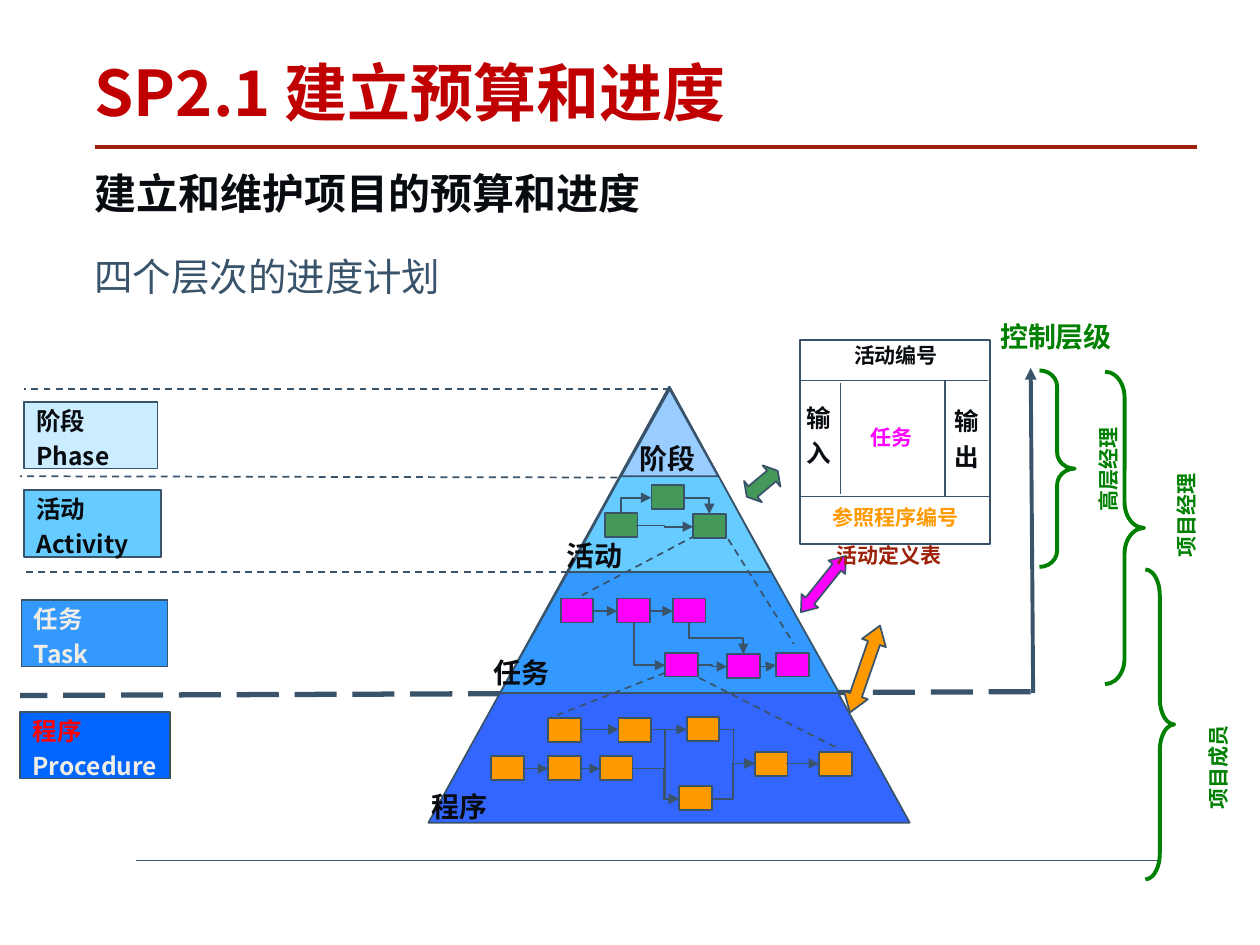
from lxml.etree import SubElement
from pptx import Presentation
from pptx.dml.color import RGBColor
from pptx.enum.dml import MSO_LINE
from pptx.enum.shapes import MSO_CONNECTOR, MSO_SHAPE
from pptx.enum.text import MSO_ANCHOR, PP_ALIGN
from pptx.oxml.ns import qn
from pptx.util import Inches, Pt

SLATE = RGBColor(0x39, 0x53, 0x6B)
INK = RGBColor(0x08, 0x0C, 0x10)
CREAM = RGBColor(0xEF, 0xED, 0xE5)
CRIMSON = RGBColor(0xC0, 0x00, 0x00)
BRICK = RGBColor(0x9C, 0x21, 0x08)
RED = RGBColor(0xFF, 0x00, 0x00)
GREEN = RGBColor(0x00, 0x80, 0x00)
MOSS = RGBColor(0x44, 0x98, 0x5A)
MAGENTA = RGBColor(0xFF, 0x00, 0xFF)
ORANGE = RGBColor(0xFF, 0x99, 0x00)
PALE = RGBColor(0xCC, 0xEC, 0xFF)
LIGHT = RGBColor(0x99, 0xCC, 0xFF)
SKY = RGBColor(0x66, 0xCC, 0xFF)
AZURE = RGBColor(0x33, 0x99, 0xFF)
INDIGO = RGBColor(0x33, 0x66, 0xFF)
COBALT = RGBColor(0x00, 0x66, 0xFF)
CJK = "Noto Sans CJK SC"

prs = Presentation()
prs.slide_width, prs.slide_height = Inches(10), Inches(7.5)
slide = prs.slides.add_slide(prs.slide_layouts[6])
shapes = slide.shapes


def add_block(kind, box, fill=None, line=SLATE, width=1, turn=0, adj=()):
    block = shapes.add_shape(kind, *[Inches(v) for v in box])
    block.shadow.inherit = False
    if fill is None:
        block.fill.background()
    else:
        block.fill.solid()
        block.fill.fore_color.rgb = fill
    block.line.color.rgb = line
    block.line.width = Pt(width)
    block.rotation = turn
    for i, value in enumerate(adj):
        block.adjustments[i] = value
    return block


def add_link(ends, kind=MSO_CONNECTOR.STRAIGHT, color=SLATE, width=1, dash=None, arrow=None):
    link = shapes.add_connector(kind, *[Inches(v) for v in ends])
    link.line.color.rgb = color
    link.line.width = Pt(width)
    if dash is not None:
        link.line.dash_style = dash
    if arrow:
        SubElement(link.line._get_or_add_ln(), qn("a:" + arrow), type="triangle")
    SubElement(link._element.spPr, qn("a:effectLst"))
    return link


# Rules of the page and the control line behind the pyramid
add_link((1.08, 6.83, 9.19, 6.83))
add_link((0.75, 1.17, 9.5, 1.17), color=BRICK, width=2.25)
add_link((8.18, 5.49, 0.16, 5.52), width=3, dash=MSO_LINE.LONG_DASH)

# Pyramid, largest level first
for box, fill in [
    ((3.4, 3.07, 3.82, 3.46), INDIGO),
    ((3.97, 3.1, 2.69, 2.4), AZURE),
    ((4.51, 3.07, 1.61, 1.47), SKY),
    ((4.93, 3.09, 0.77, 0.69), LIGHT),
]:
    add_block(MSO_SHAPE.ISOSCELES_TRIANGLE, box, fill)

# Dashed level borders and zoom lines between levels
for ends in [
    (5.32, 3.09, 0.19, 3.09), (4.9, 3.79, 0.16, 3.78), (5.76, 4.54, 0.19, 4.54),
    (5.78, 4.28, 6.3, 5.11), (5.52, 4.25, 4.59, 4.74),
    (5.28, 5.34, 4.36, 5.7), (5.55, 5.38, 6.65, 5.94),
]:
    add_link(ends, dash=MSO_LINE.DASH)

# Activity definition form
add_block(MSO_SHAPE.RECTANGLE, (6.35, 2.7, 1.51, 1.62))
for ends in [
    (6.35, 3.02, 7.84, 3.02), (7.86, 3.94, 6.35, 3.94),
    (6.67, 3.04, 6.67, 3.92), (7.5, 3.02, 7.5, 3.94),
]:
    add_link(ends)

# Network steps in each level
steps = {
    MOSS: [(4.8, 4.07), (5.17, 3.85), (5.5, 4.08)],
    MAGENTA: [(4.45, 4.75), (4.9, 4.75), (5.34, 4.75), (5.28, 5.18), (5.77, 5.19), (6.16, 5.18)],
    ORANGE: [(4.35, 5.7), (4.91, 5.7), (5.45, 5.69), (5.39, 6.24), (5.99, 5.97),
             (6.5, 5.97), (3.9, 6), (4.35, 6), (4.76, 6)],
}
for fill, corners in steps.items():
    for x, y in corners:
        add_block(MSO_SHAPE.RECTANGLE, (x, y, 0.26, 0.19), fill)

# Straight arrows between steps
for ends in [
    (4.71, 4.85, 4.9, 4.85), (5.16, 4.85, 5.34, 4.85), (4.6, 5.79, 4.91, 5.79),
    (5.17, 5.79, 5.45, 5.79), (6.24, 6.06, 6.5, 6.06),
    (4.16, 6.1, 4.35, 6.1), (4.61, 6.1, 4.76, 6.1),
]:
    add_link(ends, arrow="tailEnd")
add_link((8.2, 5.5, 8.18, 2.92), width=2.25, arrow="tailEnd")

# Arrows with two corners: ends, place of the bend, line width
for ends, bend, width in [
    ((5.05, 4.17, 5.5, 4.18), 0.5, 1), ((5.53, 5.28, 5.77, 5.29), 0.5, 1),
    ((6.03, 5.29, 6.16, 5.28), 0.5, 1), ((5.17, 5.79, 5.39, 6.34), 0.5, 1),
    ((5.64, 6.34, 5.99, 6.06), 0.5, 1), ((5.02, 6.1, 5.39, 6.34), 0.68, 1),
    ((5.71, 5.79, 5.99, 6.06), 0.39, 0.5),
]:
    elbow = add_link(ends, MSO_CONNECTOR.ELBOW, width=width, arrow="tailEnd")
    guides = elbow._element.spPr.find(qn("a:prstGeom")).get_or_add_avLst()
    SubElement(guides, qn("a:gd"), name="adj1", fmla=f"val {round(bend * 100000)}")

# Arrows with one corner, horizontal part first
for ends, arrow in [
    ((5.17, 3.95, 4.93, 4.07), "headEnd"),
    ((5.43, 3.95, 5.63, 4.08), "tailEnd"),
    ((5.28, 5.28, 5.03, 4.94), "headEnd"),
]:
    corner = add_link(ends, MSO_CONNECTOR.ELBOW, arrow=arrow)
    corner._element.spPr.find(qn("a:prstGeom")).set("prst", "bentConnector2")

# Arrow that drops, runs across and drops again
drop = add_link((5.81, 4.85, 5.56, 5.28), MSO_CONNECTOR.ELBOW, arrow="headEnd")
drop._element.spPr.find(qn("a:xfrm")).set("rot", str(90 * 60000))

# Double arrows from the levels to the form
for box, turn, head, fill in [
    ((5.89, 3.73, 0.32, 0.22), 320, 0.29, MOSS),
    ((6.25, 4.55, 0.57, 0.17), 308.6, 0.67, MAGENTA),
    ((6.5, 5.21, 0.73, 0.2), 289.1, 0.73, ORANGE),
]:
    add_block(MSO_SHAPE.LEFT_RIGHT_ARROW, box, fill, turn=turn, adj=(0.5, head))

# Braces for the control levels
for box, curl in [
    ((9.09, 4.52, 0.23, 2.46), 0.9),
    ((8.77, 2.95, 0.31, 2.48), 0.66),
    ((8.25, 2.94, 0.28, 1.56), 0.46),
]:
    add_block(MSO_SHAPE.RIGHT_BRACE, box, line=GREEN, width=2.25, adj=(curl, 0.5))

# Level labels on the left
texts = []
for box, fill, words, colors in [
    ((0.19, 3.19, 1.06, 0.53), PALE, "阶段\nPhase", (INK, INK)),
    ((0.19, 3.89, 1.09, 0.53), SKY, "活动\nActivity", (INK, INK)),
    ((0.17, 4.76, 1.16, 0.53), AZURE, "任务\nTask", (CREAM, CREAM)),
    ((0.16, 5.65, 1.19, 0.53), COBALT, "程序\nProcedure", (RED, CREAM)),
]:
    label = add_block(MSO_SHAPE.RECTANGLE, box, fill)
    label.text_frame.vertical_anchor = MSO_ANCHOR.MIDDLE
    texts.append((label, words, (14, 14), colors, 1.2, False))

# Free text: box, words, size, colour, line spacing, wrap, rotation
for box, words, size, color, spacing, wrap, turn in [
    ((0.75, 0.42, 8.75, 0.61), "SP2.1 建立预算和进度 ", 36, CRIMSON, 0.89, True, 0),
    ((4.98, 3.4, 0.65, 0.42), "阶段", 16, INK, 1.2, False, 0),
    ((4.4, 4.17, 1.12, 0.42), "活动", 16, INK, 1.2, True, 0),
    ((3.82, 5.1, 1.12, 0.42), "任务", 16, INK, 1.2, True, 0),
    ((3.33, 6.16, 1.55, 0.42), "程序", 16, INK, 1.2, True, 0),
    ((6.54, 4.28, 1.24, 0.28), "活动定义表", 12, BRICK, 0.9, True, 0),
    ((6.68, 2.63, 0.87, 0.34), "活动编号", 12, INK, 1.2, False, 0),
    ((6.81, 3.28, 0.53, 0.34), "任务", 12, MAGENTA, 1.2, False, 0),
    ((6.51, 3.98, 1.2, 0.28), "参照程序编号", 12, ORANGE, 0.9, False, 0),
    ((6.3, 3.1, 0.39, 0.66), "输入", 14, INK, 1.2, True, 0),
    ((7.48, 3.13, 0.39, 0.66), "输出", 14, INK, 1.2, True, 0),
    ((7.84, 2.43, 1.86, 0.42), "控制层级", 16, GREEN, 1.2, True, 0),
    ((8.32, 3.56, 0.88, 0.31), "高层经理", 12, GREEN, 1.2, False, 270),
    ((8.94, 3.93, 0.88, 0.31), "项目经理", 12, GREEN, 1.2, False, 270),
    ((9.19, 5.93, 0.88, 0.31), "项目成员", 12, GREEN, 1.2, False, 270),
]:
    caption = shapes.add_textbox(*[Inches(v) for v in box])
    caption.rotation = turn
    texts.append((caption, words, (size,), (color,), spacing, wrap))
body = shapes.add_textbox(Inches(0.75), Inches(1.33), Inches(8.75), Inches(5.33))
texts.append((body, "建立和维护项目的预算和进度\n四个层次的进度计划", (24, 22), (INK, SLATE), 1, True))

for holder, words, sizes, colors, spacing, wrap in texts:
    frame = holder.text_frame
    frame.text = words
    frame.word_wrap = wrap
    for paragraph, size, color in zip(frame.paragraphs, sizes, colors):
        paragraph.alignment = PP_ALIGN.LEFT
        paragraph.line_spacing = spacing
        font = paragraph.runs[0].font
        font.size, font.bold, font.name = Pt(size), True, CJK
        font.color.rgb = color
        SubElement(font._element, qn("a:ea"), typeface=CJK)

# Heading and body sit flush with the page rule
heading = texts[4][0]
heading.text_frame.vertical_anchor = MSO_ANCHOR.BOTTOM
for flush in (heading.text_frame, body.text_frame):
    flush.margin_left = flush.margin_right = flush.margin_top = flush.margin_bottom = 0
subtitle = body.text_frame.paragraphs[1]
subtitle.space_before = Pt(20)
subtitle.runs[0].font.bold = False
subtitle.runs[0].font.name = "Arial"

prs.save("out.pptx")
